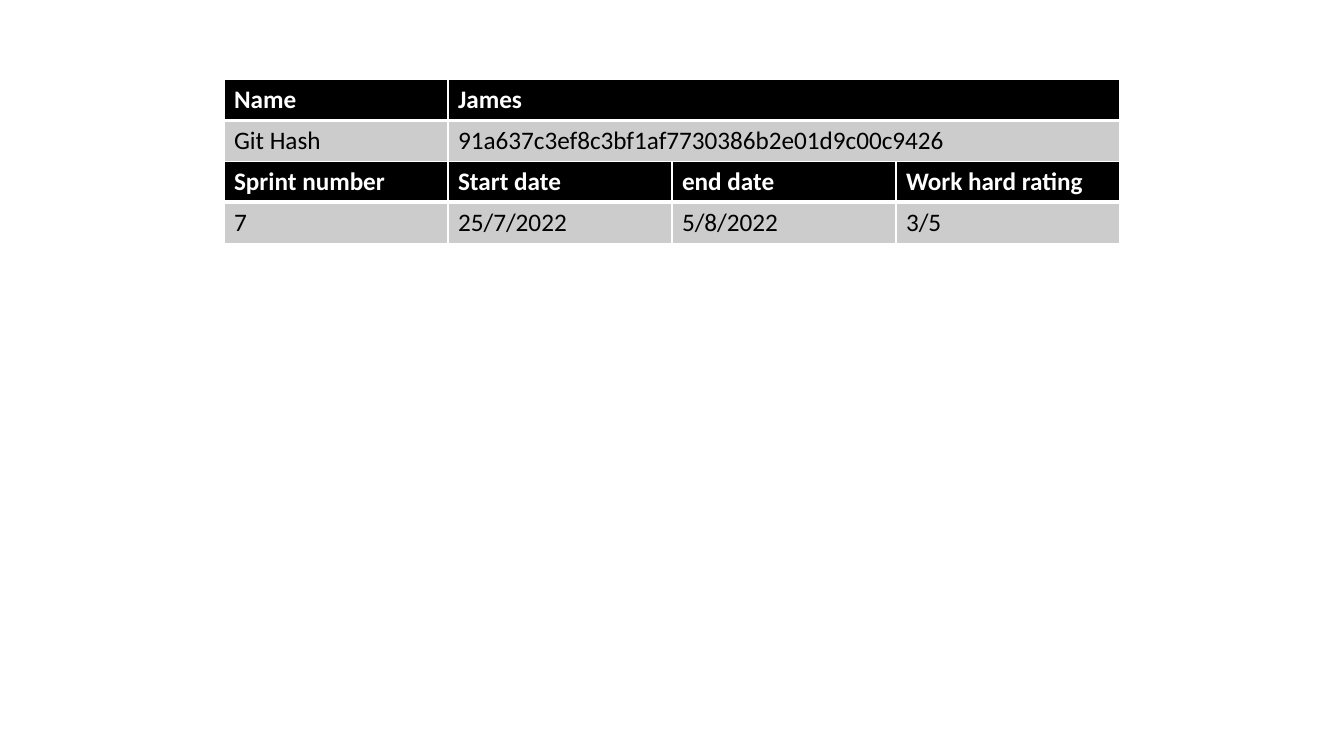
from lxml import etree
from pptx import Presentation
from pptx.dml.color import RGBColor
from pptx.oxml.ns import qn
from pptx.util import Pt

COLORS = {"header": "000000", "body": "CCCCCC", "light": "FFFFFF", "dark": "000000"}
FONT = "Calibri"
FONT_SIZE = 18

OWNER = [
    ("Name", "James"),
    ("Git Hash", "91a637c3ef8c3bf1af7730386b2e01d9c00c9426"),
]
SPRINT = [
    ("Sprint number", "Start date", "end date", "Work hard rating"),
    ("7", "25/7/2022", "5/8/2022", "3/5"),
]
COLUMN = 160
SECTIONS = [(OWNER, (COLUMN, 3 * COLUMN)), (SPRINT, (COLUMN,) * 4)]

LEFT, TOP = 160, 56.9
ROW_HEIGHT = 29.2
THIN, THICK = 1, 3


def add_borders(cell, widths):
    properties = cell._tc.get_or_add_tcPr()
    for side, width in widths.items():
        border = etree.SubElement(properties, qn(f"a:{side}"), w=str(Pt(width)))
        fill = etree.SubElement(border, qn("a:solidFill"))
        etree.SubElement(fill, qn("a:srgbClr"), val=COLORS["light"])


def format_cell(cell, words, is_header):
    add_borders(cell, {
        "lnL": THIN,
        "lnR": THIN,
        "lnT": THIN if is_header else THICK,
        "lnB": THICK if is_header else THIN,
    })
    cell.fill.solid()
    cell.fill.fore_color.rgb = RGBColor.from_string(COLORS["header" if is_header else "body"])
    cell.text_frame.text = words
    font = cell.text_frame.paragraphs[0].runs[0].font
    font.name = FONT
    font.size = Pt(FONT_SIZE)
    font.bold = is_header
    font.color.rgb = RGBColor.from_string(COLORS["light" if is_header else "dark"])


def add_section(slide, entries, widths, top):
    height = ROW_HEIGHT * len(entries)
    table = slide.shapes.add_table(
        len(entries), len(widths), Pt(LEFT), Pt(top), Pt(sum(widths)), Pt(height)
    ).table
    for column, width in zip(table.columns, widths):
        column.width = Pt(width)
    for row, (table_row, entry) in enumerate(zip(table.rows, entries)):
        table_row.height = Pt(ROW_HEIGHT)
        for cell, words in zip(table_row.cells, entry):
            format_cell(cell, words, row == 0)
    return top + height


def main():
    deck = Presentation()
    deck.slide_width, deck.slide_height = Pt(960), Pt(540)
    slide = deck.slides.add_slide(deck.slide_layouts[6])
    top = TOP
    for entries, widths in SECTIONS:
        top = add_section(slide, entries, widths, top)
    deck.save("out.pptx")


if __name__ == "__main__":
    main()
